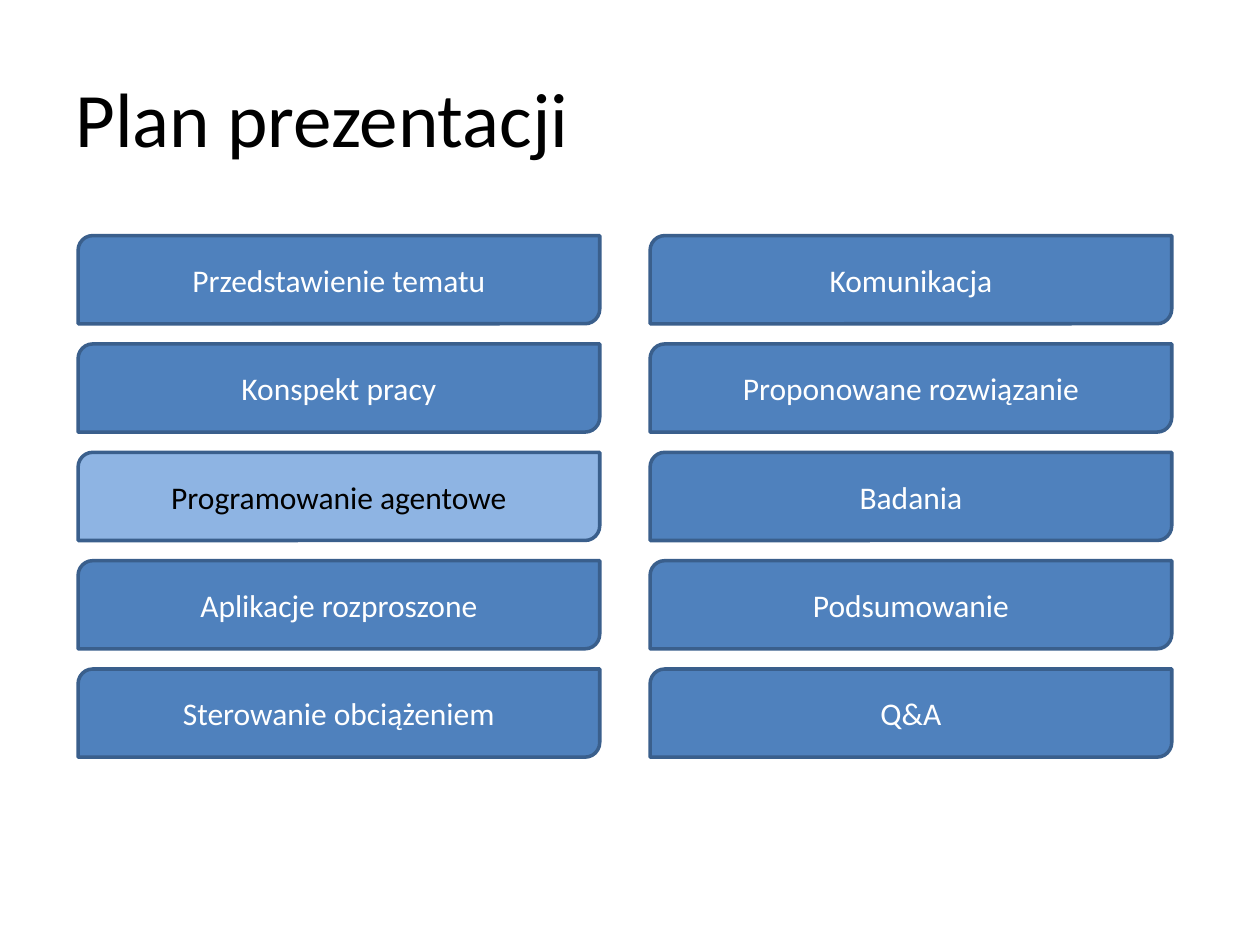
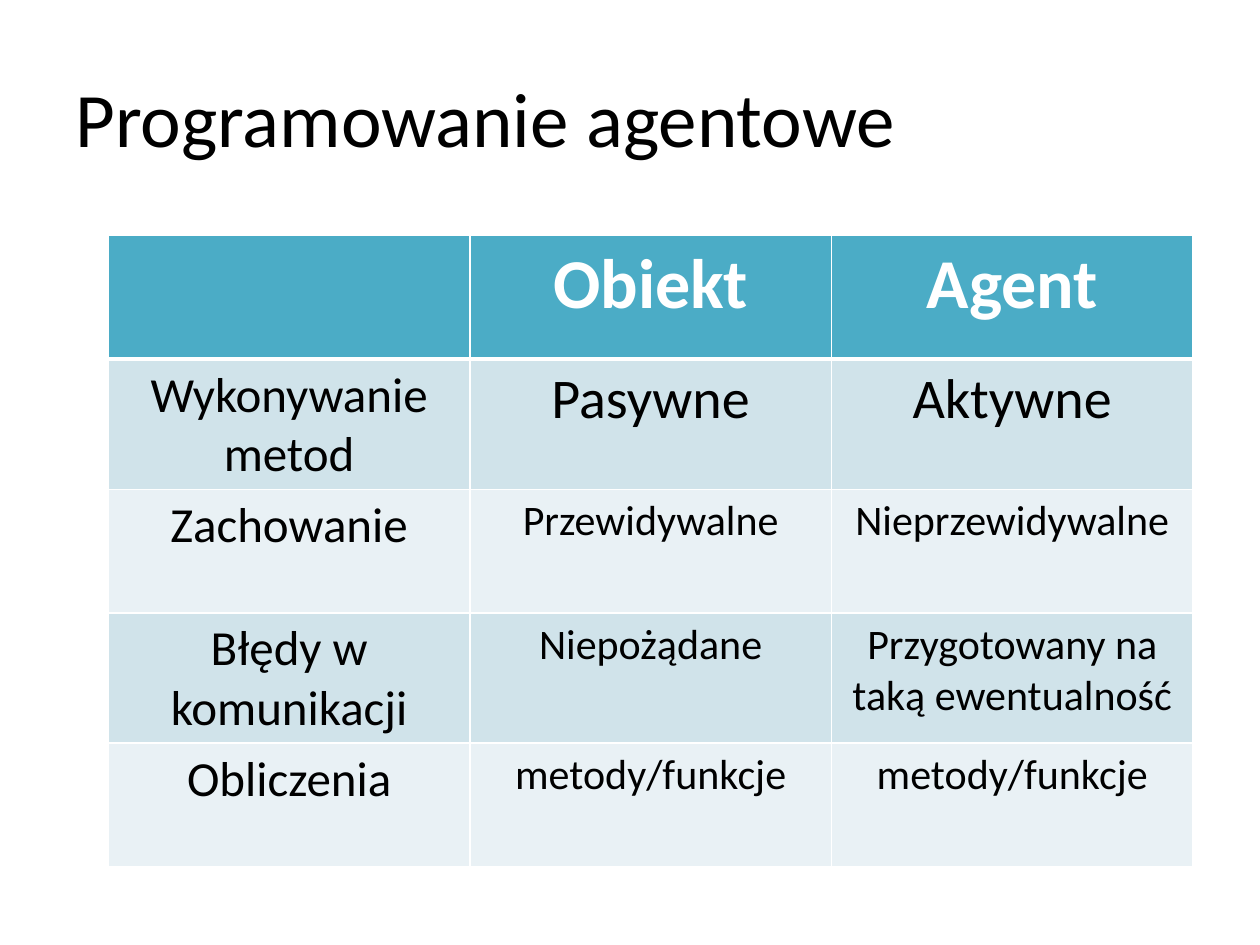
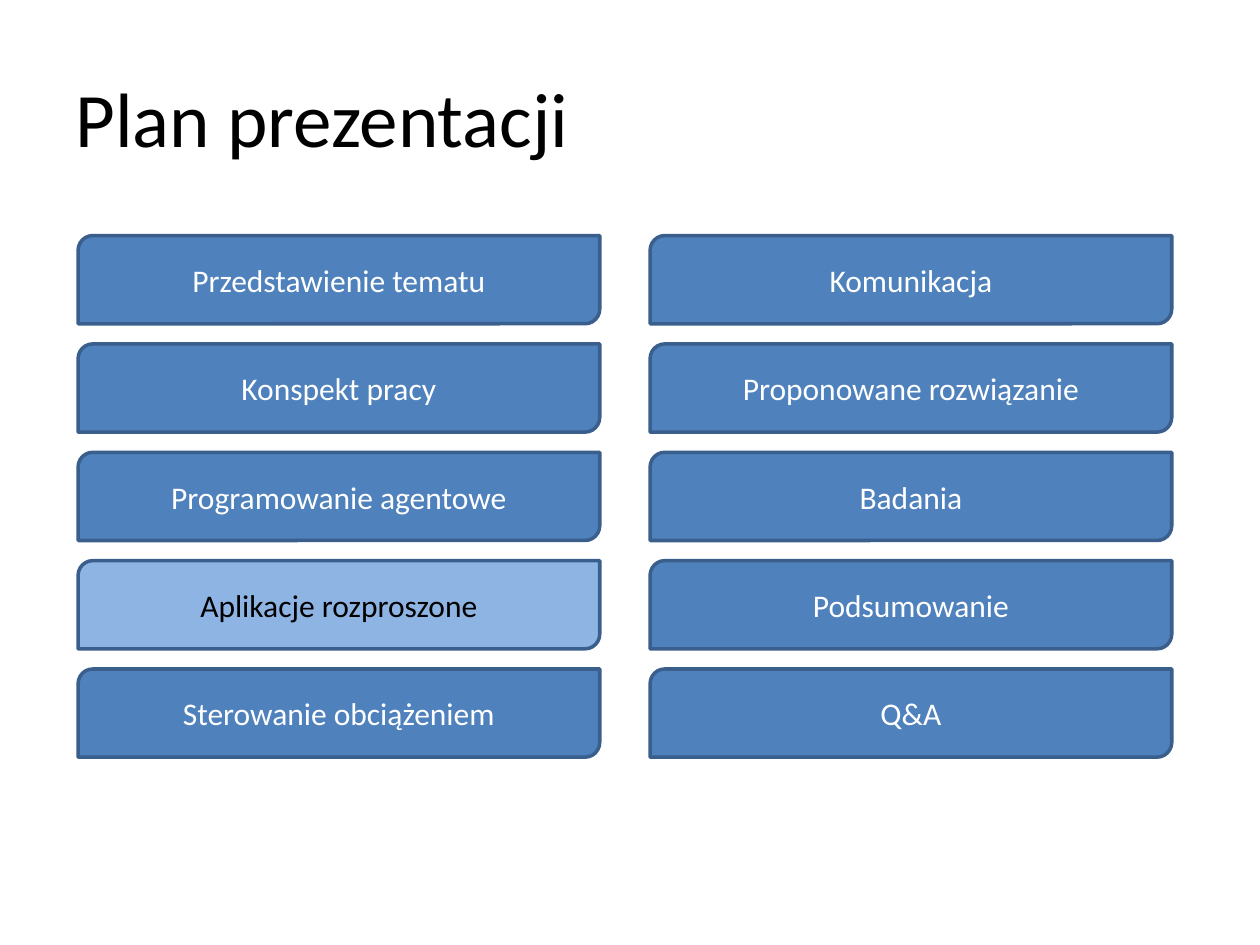
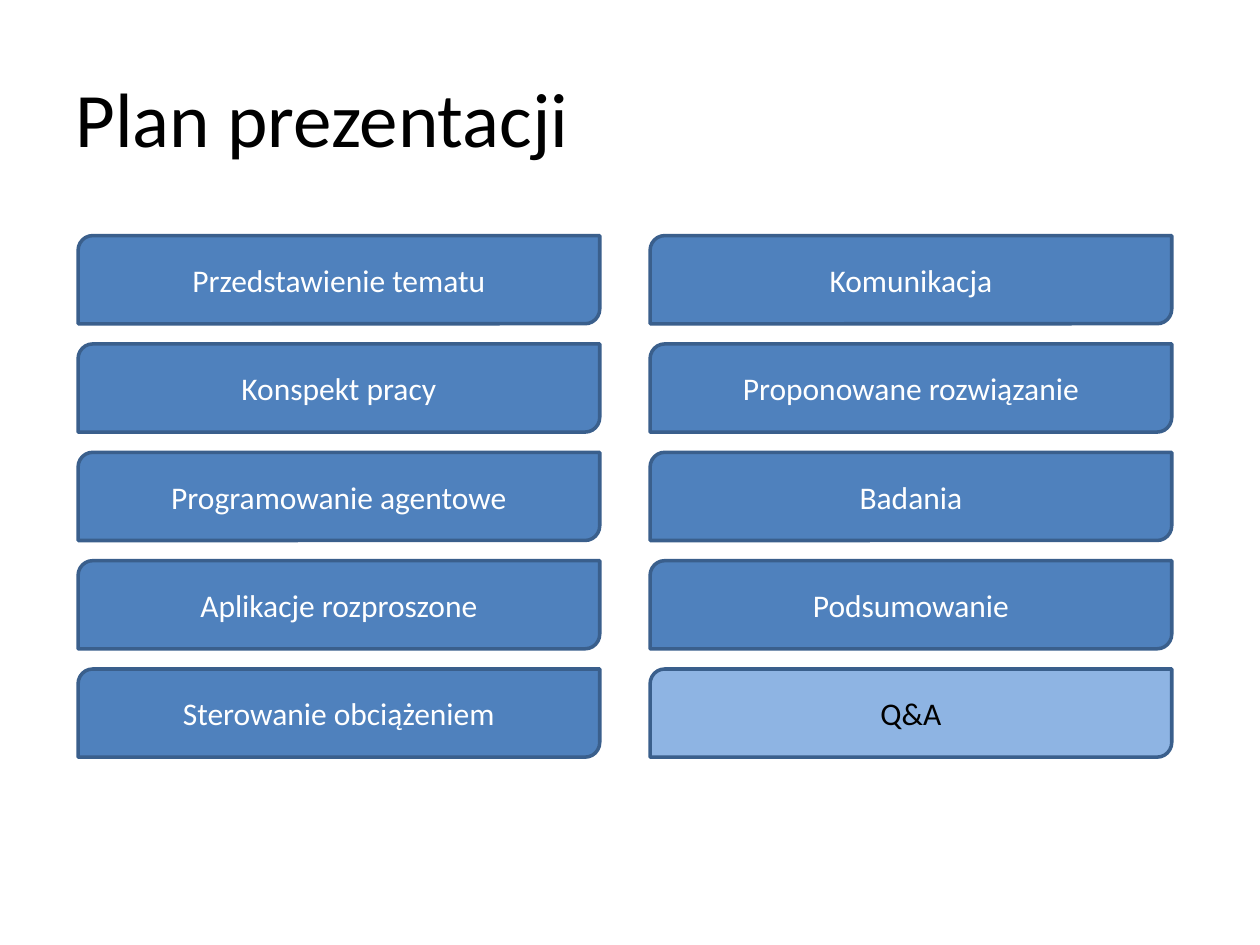
"""Build four slides: a recurring agenda and a comparison of objects and agents."""
from dataclasses import dataclass

from lxml import etree
from pptx import Presentation
from pptx import util as u
from pptx.dml.color import RGBColor
from pptx.enum import shapes, text
from pptx.oxml.ns import qn

FONT = "Calibri"
BLACK, WHITE = "000000", "FFFFFF"
BLUE, BLUE_LIGHT, BLUE_DARK = "4F81BD", "8EB4E3", "3A5F8C"
TEAL, BANDS = "4BACC6", ("D0E3EA", "E9F1F5")
CONTENT_TOP = 134.64

AGENDA_TITLE = "Plan prezentacji"
AGENDA = (
    ("Przedstawienie tematu", "Konspekt pracy", "Programowanie agentowe",
     "Aplikacje rozproszone", "Sterowanie obciążeniem"),
    ("Komunikacja", "Proponowane rozwiązanie", "Badania", "Podsumowanie", "Q&A"),
)
AGENDA_LEFT, AGENDA_W, AGENDA_H = 44.64, 298.08, 50.4
AGENDA_COL_STEP, AGENDA_ROW_STEP = 326.88, 61.92

TABLE_LEFT, COL_W, ROW_H = 61.92, 206.64, 70.56


@dataclass(frozen=True)
class Style:
    """Size, colour and weight of a text."""
    size: float
    color: str = BLACK
    bold: bool = False


@dataclass(frozen=True)
class Row:
    """One table row with the text sizes of its label and its values."""
    cells: tuple[str, str, str]
    label_size: float = 28
    value_size: float = 24


TITLE = Style(44)
COMPARISON = (
    Row(("", "Obiekt", "Agent"), 40, 40),
    Row(("Wykonywanie metod", "Pasywne", "Aktywne"), value_size=32),
    Row(("Zachowanie", "Przewidywalne", "Nieprzewidywalne")),
    Row(("Błędy w komunikacji", "Niepożądane", "Przygotowany na taką ewentualność")),
    Row(("Obliczenia", "metody/funkcje", "metody/funkcje")),
)


def rgb(value: str) -> RGBColor:
    """Turn a hex string into a colour."""
    return RGBColor.from_string(value)


def write(tf, content: str, style: Style, align=text.PP_ALIGN.CENTER) -> None:
    """Put one formatted paragraph into a text frame."""
    tf.text = content
    tf.word_wrap = True
    p = tf.paragraphs[0]
    p.alignment = align
    for r in p.runs:
        r.font.name = FONT
        r.font.size = u.Pt(style.size)
        r.font.bold = style.bold
        r.font.color.rgb = rgb(style.color)


def add_titled_slide(prs, title: str):
    """Add a blank slide with the shared title."""
    s = prs.slides.add_slide(prs.slide_layouts[6])
    tf = s.shapes.add_textbox(u.Pt(36), u.Pt(21.6), u.Pt(648), u.Pt(90)).text_frame
    tf.vertical_anchor = text.MSO_ANCHOR.MIDDLE
    write(tf, title, TITLE, text.PP_ALIGN.LEFT)
    return s


def add_agenda_box(s, label: str, left: float, top: float, active: bool) -> None:
    """Draw one agenda item, lighter when it is the current one."""
    sp = s.shapes.add_shape(shapes.MSO_SHAPE.ROUND_2_DIAG_RECTANGLE, u.Pt(left),
                            u.Pt(top), u.Pt(AGENDA_W), u.Pt(AGENDA_H))
    sp.shadow.inherit = False
    sp.fill.solid()
    sp.fill.fore_color.rgb = rgb(BLUE_LIGHT if active else BLUE)
    sp.line.color.rgb = rgb(BLUE_DARK)
    sp.line.width = u.Pt(2)
    sp.text_frame.vertical_anchor = text.MSO_ANCHOR.MIDDLE
    write(sp.text_frame, label, Style(18, BLACK if active else WHITE))


def add_agenda(prs, current: str) -> None:
    """Add the agenda slide with the current item highlighted."""
    s = add_titled_slide(prs, AGENDA_TITLE)
    for col, labels in enumerate(AGENDA):
        for row, label in enumerate(labels):
            add_agenda_box(s, label, AGENDA_LEFT + col * AGENDA_COL_STEP,
                           CONTENT_TOP + row * AGENDA_ROW_STEP, label == current)


def set_borders(cell, top: float, bottom: float) -> None:
    """Give a cell white borders, one point wide at the sides."""
    tc_pr = cell._tc.get_or_add_tcPr()
    widths = {"a:lnL": 1, "a:lnR": 1, "a:lnT": top, "a:lnB": bottom}
    for tag, width in widths.items():
        ln = etree.SubElement(tc_pr, qn(tag), w=str(u.Pt(width)))
        fill = etree.SubElement(ln, qn("a:solidFill"))
        etree.SubElement(fill, qn("a:srgbClr"), val=WHITE)


def add_comparison(prs) -> None:
    """Add the slide with the table comparing objects and agents."""
    s = add_titled_slide(prs, "Programowanie agentowe")
    n_rows, n_cols = len(COMPARISON), len(COMPARISON[0].cells)
    table = s.shapes.add_table(n_rows, n_cols, u.Pt(TABLE_LEFT), u.Pt(CONTENT_TOP),
                               u.Pt(n_cols * COL_W), u.Pt(n_rows * ROW_H)).table
    for column in table.columns:
        column.width = u.Pt(COL_W)
    for i, row in enumerate(COMPARISON):
        table.rows[i].height = u.Pt(ROW_H)
        header = i == 0
        for j, content in enumerate(row.cells):
            cell = table.cell(i, j)
            set_borders(cell, top=3 if i == 1 else 1, bottom=3 if header else 1)
            cell.fill.solid()
            cell.fill.fore_color.rgb = rgb(TEAL if header else BANDS[(i - 1) % 2])
            size = row.value_size if j else row.label_size
            write(cell.text_frame, content, Style(size, WHITE if header else BLACK, header))


def main() -> None:
    """Build and save the presentation."""
    prs = Presentation()
    prs.slide_width, prs.slide_height = u.Pt(720), u.Pt(540)
    add_agenda(prs, "Programowanie agentowe")
    add_comparison(prs)
    add_agenda(prs, "Aplikacje rozproszone")
    add_agenda(prs, "Q&A")
    prs.save("out.pptx")


if __name__ == "__main__":
    main()
